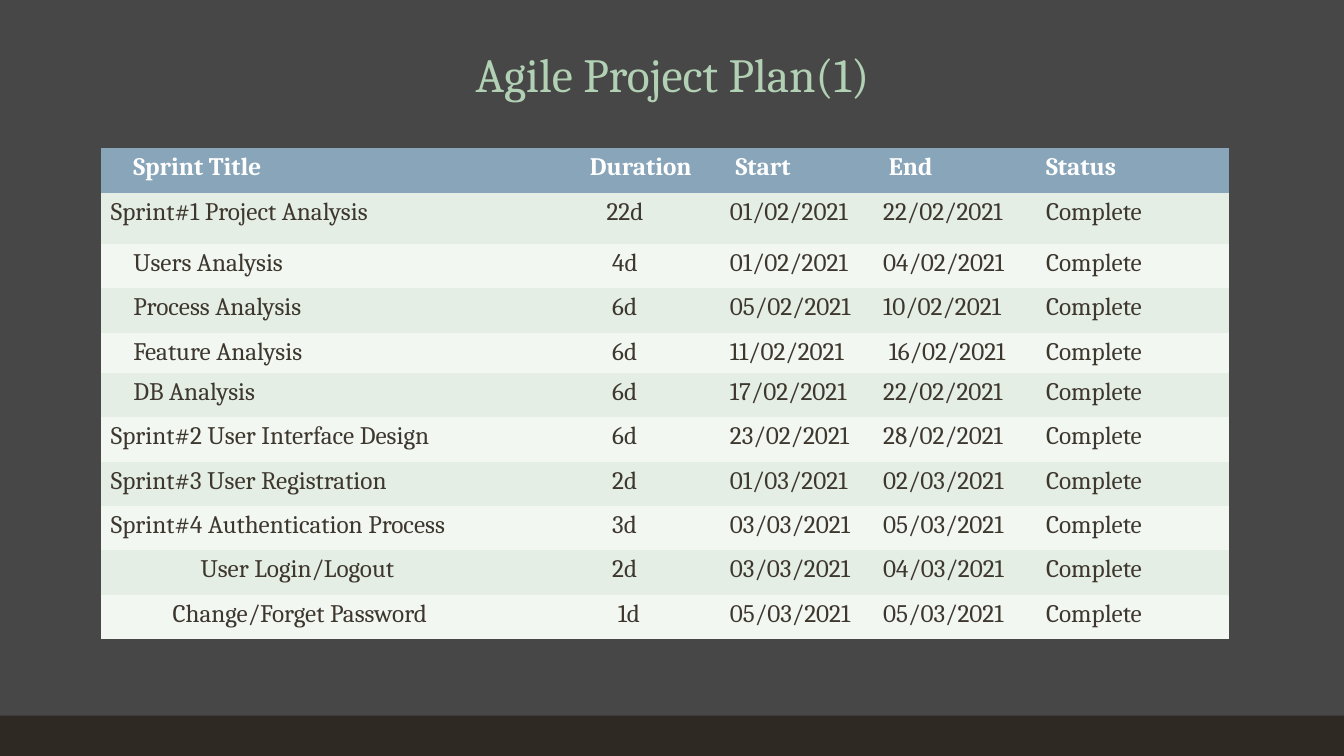
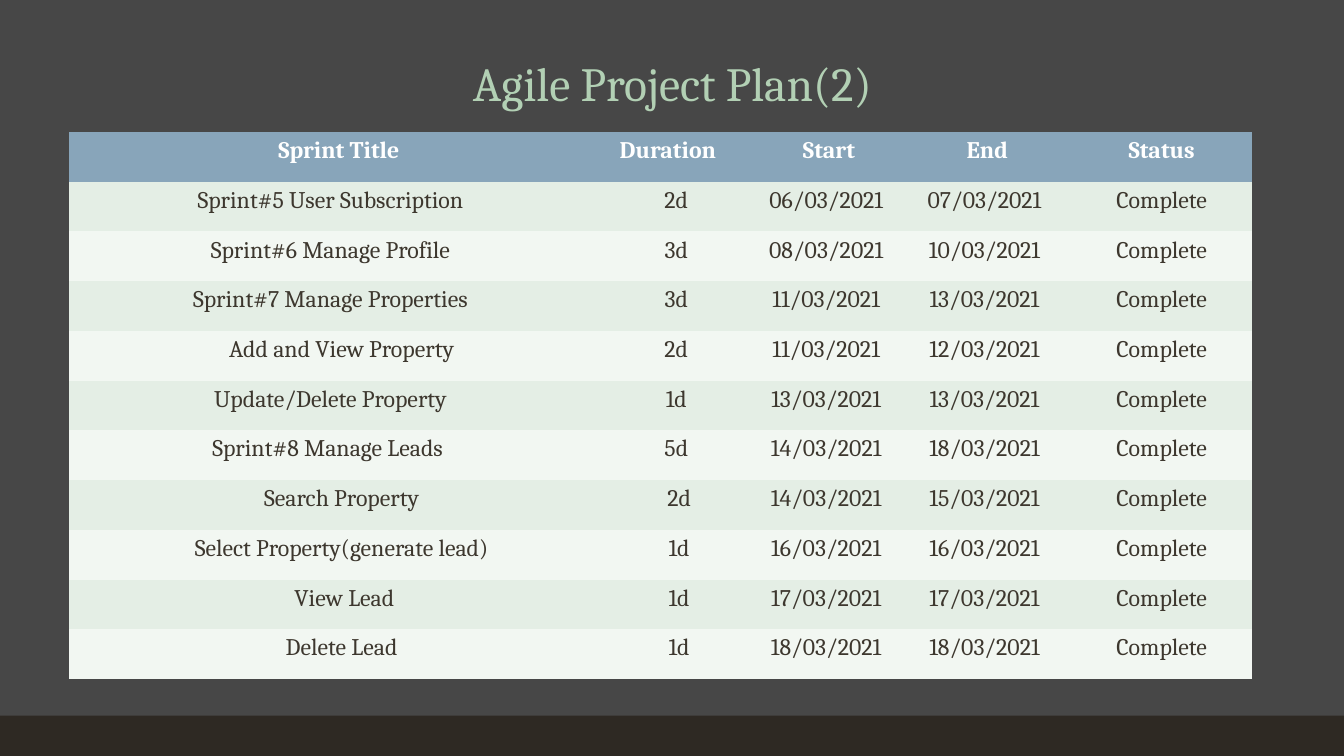
import pptx
import pptx.dml.color
import pptx.enum.shapes
import pptx.enum.text
import pptx.oxml.ns
import pptx.util

Inches = pptx.util.Inches
Pt = pptx.util.Pt
ANCHOR = pptx.enum.text.MSO_ANCHOR
ALIGN = pptx.enum.text.PP_ALIGN

FONT = "Cambria"
BACKGROUND = "474747"
BAND = "2E2923"
TITLE_TEXT = "B2D0B4"
HEADER_FILL, HEADER_TEXT = "88A5BA", "FFFFFF"
ROW_FILLS, ROW_TEXT = ("E4EEE5", "F2F7F2"), "3D372E"

TITLE_SIZE = 34
CELL_MARGIN = Inches(0.1)
INDENT_STEP = Pt(4)
PLAIN_TABLE_STYLE = "{2D5ABB26-0587-4C30-8999-92F81FD0307C}"

# A cell is its text, or a pair of indent steps and text.
HEADER = ((4, "Sprint Title"), "Duration", (1, "Start"), (1, "End"), (1, "Status"))
STATUS = (1, "Complete")

FIRST_SPRINTS = (
    ("Sprint#1 Project Analysis", (3, "22d"), "01/02/2021", "22/02/2021"),
    ((4, "Users Analysis"), (4, "4d"), "01/02/2021", "04/02/2021"),
    ((4, "Process Analysis"), (4, "6d"), "05/02/2021", "10/02/2021"),
    ((4, "Feature Analysis"), (4, "6d"), "11/02/2021", (1, "16/02/2021")),
    ((4, "DB Analysis"), (4, "6d"), "17/02/2021", "22/02/2021"),
    ("Sprint#2 User Interface Design", (4, "6d"), "23/02/2021", "28/02/2021"),
    ("Sprint#3 User Registration", (4, "2d"), "01/03/2021", "02/03/2021"),
    ("Sprint#4 Authentication Process", (4, "3d"), "03/03/2021", "05/03/2021"),
    ((16, "User Login/Logout"), (4, "2d"), "03/03/2021", "04/03/2021"),
    ((11, "Change/Forget Password"), (5, "1d"), "05/03/2021", "05/03/2021"),
)

LATER_SPRINTS = (
    ((1, "Sprint#5 User Subscription"), (3, "2d"), "06/03/2021", "07/03/2021"),
    ((1, "Sprint#6 Manage Profile"), (3, "3d"), "08/03/2021", "10/03/2021"),
    ((1, "Sprint#7 Manage Properties"), (3, "3d"), "11/03/2021", "13/03/2021"),
    ((5, "Add and View Property"), (3, "2d"), "11/03/2021", "12/03/2021"),
    ((1, "Update/Delete Property"), (3, "1d"), "13/03/2021", "13/03/2021"),
    ("Sprint#8 Manage Leads", (3, "5d"), "14/03/2021", "18/03/2021"),
    ((5, "Search Property"), (4, "2d"), "14/03/2021", "15/03/2021"),
    ((5, "Select Property(generate lead)"), (4, "1d"), "16/03/2021", "16/03/2021"),
    ((6, "View Lead"), (4, "1d"), "17/03/2021", "17/03/2021"),
    ((5, "Delete Lead"), (4, "1d"), "18/03/2021", "18/03/2021"),
)


def paint(color_format, color):
    color_format.rgb = pptx.dml.color.RGBColor.from_string(color)


def fill_solid(fill, color):
    fill.solid()
    paint(fill.fore_color, color)


def style_paragraph(paragraph, size, color, align, bold=False):
    paragraph.alignment = align
    paragraph.font.name = FONT
    paragraph.font.size = Pt(size)
    paragraph.font.bold = bold
    paint(paragraph.font.color, color)


def style_master(deck, slide):
    """Give the master the background and the footer band, drawn by way of slide."""
    master = deck.slide_master
    fill_solid(master.background.fill, BACKGROUND)
    band = slide.shapes.add_shape(
        pptx.enum.shapes.MSO_SHAPE.RECTANGLE,
        0, Inches(7.1), deck.slide_width, Inches(0.4))
    band.shadow.inherit = False
    fill_solid(band.fill, BAND)
    band.line.fill.background()
    master.element.cSld.spTree.append(band.element)


def set_title(slide, text, height, anchor):
    title = slide.shapes.title
    title.left, title.top = Inches(0.92), Inches(0.4)
    title.width, title.height = Inches(11.5), Inches(height)
    frame = title.text_frame
    frame.text = text
    frame.auto_size = pptx.enum.text.MSO_AUTO_SIZE.NONE
    frame.vertical_anchor = anchor
    heading = frame.paragraphs[0]
    heading.line_spacing = 0.9
    style_paragraph(heading, TITLE_SIZE, TITLE_TEXT, ALIGN.CENTER)


def fill_cell(cell, content, fill, size, color, align, bold):
    steps, text = (0, content) if isinstance(content, str) else content
    cell.text = text
    cell.margin_left = CELL_MARGIN + steps * INDENT_STEP
    fill_solid(cell.fill, fill)
    style_paragraph(cell.text_frame.paragraphs[0], size, color, align, bold)


def add_plan(slide, sprints, left, top, widths, heights, size, align):
    rows = [HEADER] + [sprint + (STATUS,) for sprint in sprints]
    frame = slide.shapes.add_table(
        len(rows), len(widths), Inches(left), Inches(top),
        Inches(sum(widths)), Inches(sum(heights)))
    plan = frame.table
    style_id = pptx.oxml.ns.qn("a:tableStyleId")
    next(frame.element.iter(style_id)).text = PLAIN_TABLE_STYLE
    for column, width in zip(plan.columns, widths):
        column.width = Inches(width)
    for index, (row, contents) in enumerate(zip(plan.rows, rows)):
        row.height = Inches(heights[index])
        is_header = index == 0
        fill = HEADER_FILL if is_header else ROW_FILLS[(index - 1) % 2]
        color = HEADER_TEXT if is_header else ROW_TEXT
        for cell, content in zip(row.cells, contents):
            fill_cell(cell, content, fill, size, color, align, is_header)


def main():
    deck = pptx.Presentation()
    deck.slide_width, deck.slide_height = Inches(13.33), Inches(7.5)
    title_only = deck.slide_layouts[5]

    first = deck.slides.add_slide(title_only)
    style_master(deck, first)
    set_title(first, "Agile Project Plan(1)", 0.67, ANCHOR.BOTTOM)
    add_plan(first, FIRST_SPRINTS, 1, 1.47, (4.75, 1.39, 1.52, 1.56, 1.97),
             [0.44, 0.51, 0.44, 0.44, 0.4] + [0.44] * 6, 18, ALIGN.LEFT)

    second = deck.slides.add_slide(title_only)
    set_title(second, "Agile Project Plan(2)", 0.91, ANCHOR.MIDDLE)
    add_plan(second, LATER_SPRINTS, 0.68, 1.31, (5.14, 1.61, 1.53, 1.61, 1.85),
             [5.43 / 11] * 11, 17, ALIGN.CENTER)

    deck.save("out.pptx")


if __name__ == "__main__":
    main()
